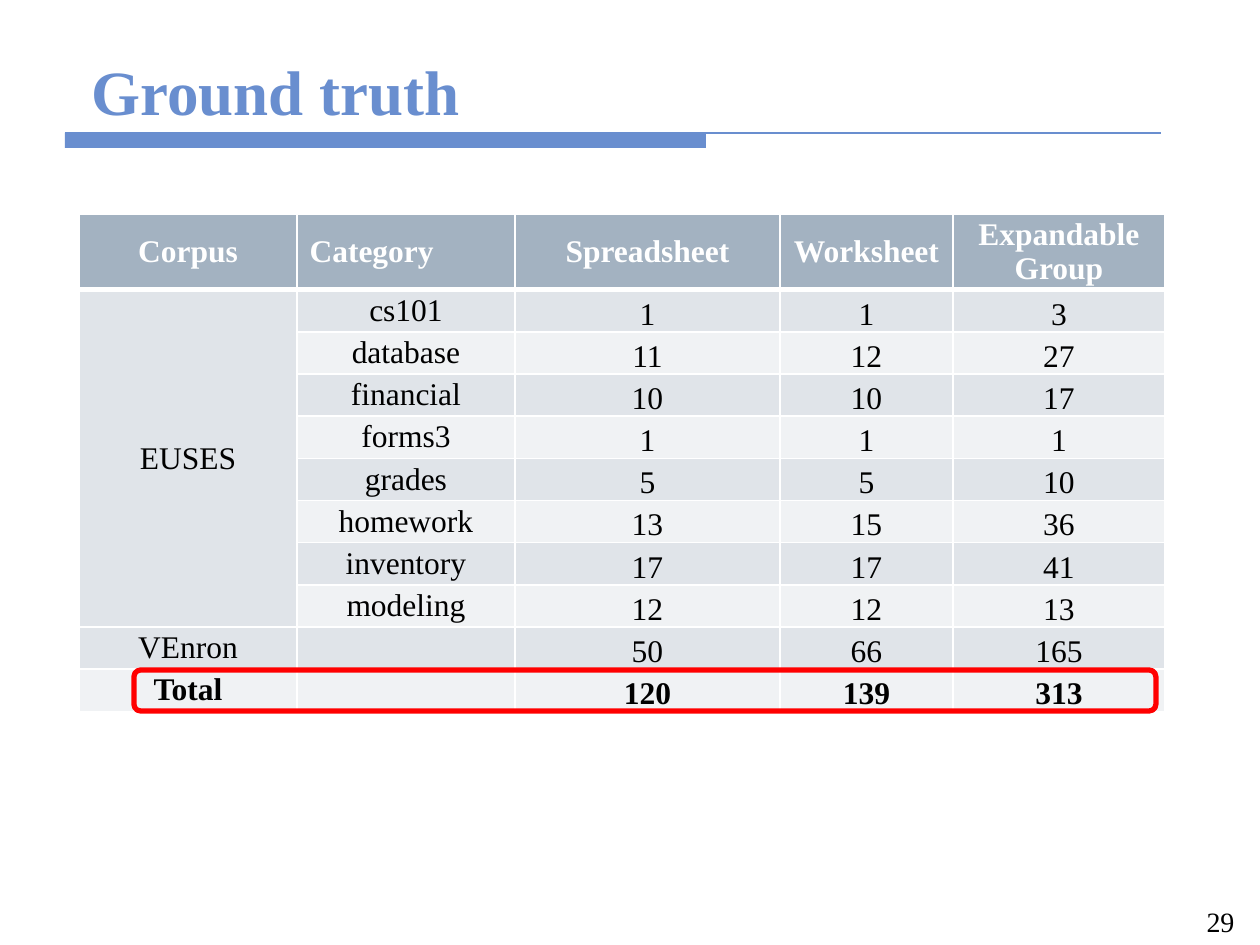
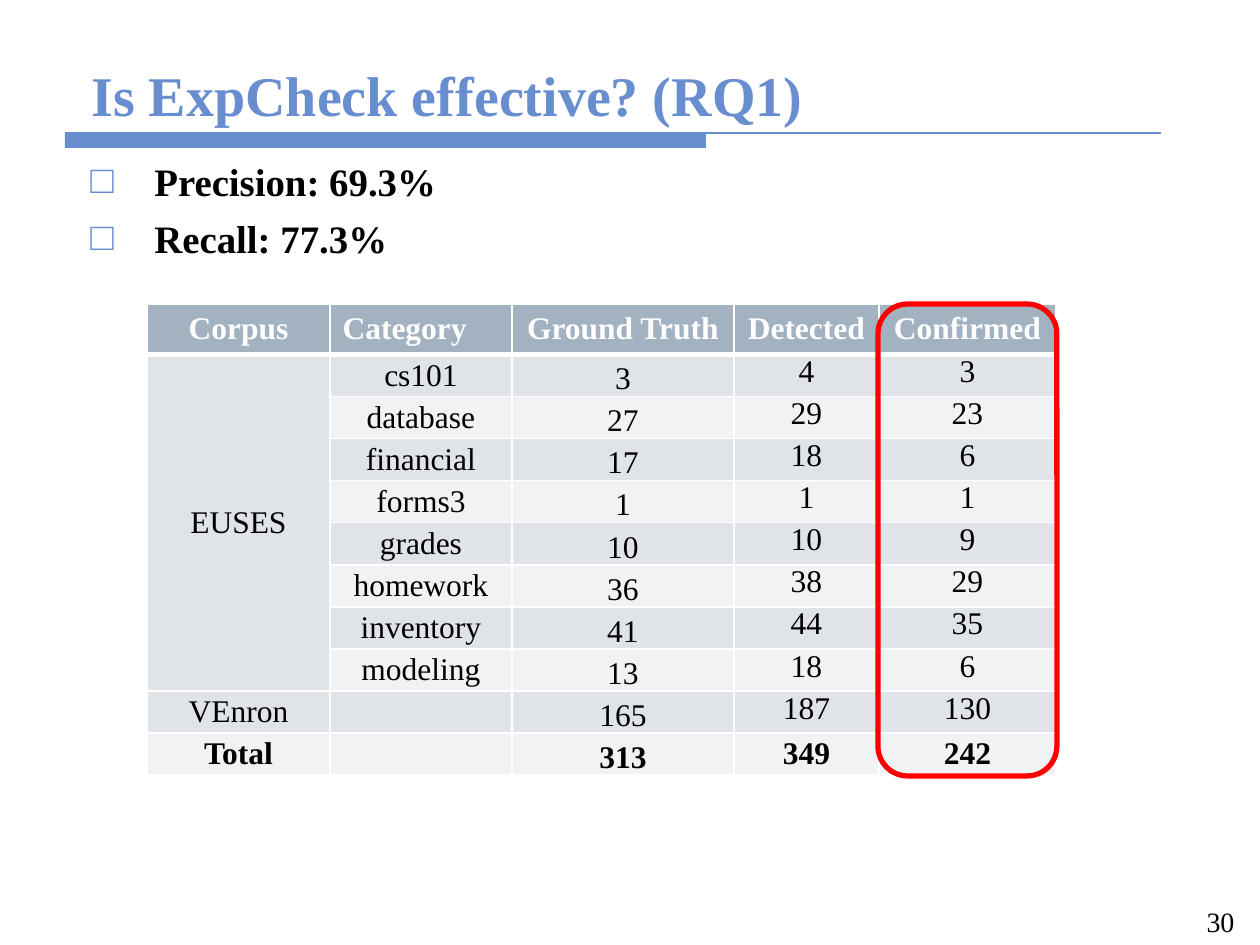
from dataclasses import dataclass

from lxml import etree
from pptx import Presentation
from pptx.dml.color import RGBColor
from pptx.enum.shapes import MSO_CONNECTOR, MSO_SHAPE
from pptx.enum.text import MSO_ANCHOR, PP_ALIGN
from pptx.oxml.ns import qn
from pptx.util import Emu, Pt

LEFT, CENTER = PP_ALIGN.LEFT, PP_ALIGN.CENTER
TOP, MIDDLE, BOTTOM = MSO_ANCHOR.TOP, MSO_ANCHOR.MIDDLE, MSO_ANCHOR.BOTTOM
RECTANGLE, ROUNDED = MSO_SHAPE.RECTANGLE, MSO_SHAPE.ROUNDED_RECTANGLE
STRAIGHT = MSO_CONNECTOR.STRAIGHT

CATEGORIES = ["cs101", "database", "financial", "forms3", "grades",
              "homework", "inventory", "modeling"]

SLIDES = [
    {
        "title": "Ground truth", "title_size": 36, "number": "29", "points": [],
        "origin": (79, 214), "columns": [218, 218, 265, 173, 212],
        "header_height": 70, "body_height": 422,
        "anchors": [BOTTOM, BOTTOM, BOTTOM],
        "total_anchors": [BOTTOM, BOTTOM, BOTTOM],
        "measures": {
            "Spreadsheet": [1, 11, 10, 1, 5, 13, 17, 12, 50, 120],
            "Worksheet": [1, 12, 10, 1, 5, 15, 17, 12, 66, 139],
            "Expandable Group": [3, 27, 17, 1, 10, 36, 41, 13, 165, 313],
        },
        "highlight": (134, 670, 1022, 41),
    },
    {
        "title": "Is ExpCheck effective? (RQ1)", "title_size": 32, "number": "30",
        "points": ["Precision: 69.3%", "Recall: 77.3%"],
        "origin": (147, 304), "columns": [183, 182, 222, 145, 177],
        "header_height": 47, "body_height": 421,
        "anchors": [BOTTOM, TOP, TOP],
        "total_anchors": [BOTTOM, MIDDLE, MIDDLE],
        "measures": {
            "Ground Truth": [3, 27, 17, 1, 10, 36, 41, 13, 165, 313],
            "Detected": [4, 29, 18, 1, 10, 38, 44, 18, 187, 349],
            "Confirmed": [3, 23, 6, 1, 9, 29, 35, 6, 130, 242],
        },
        "highlight": (878, 304, 179, 472),
    },
]


@dataclass(frozen=True)
class Theme:
    font: str = "Times New Roman"
    accent: str = "698ECF"
    header: str = "A3B2C1"
    dark_band: str = "E0E4E9"
    light_band: str = "F0F2F4"
    white: str = "FFFFFF"
    black: str = "000000"
    alert: str = "FF0000"
    table_size: float = 18
    point_size: float = 22.2
    number_size: float = 16


THEME = Theme()
TITLE_BOX = (79, 42, 1103, 92)
POINTS_BOX = (78, 151, 1103, 106)
NUMBER_BOX = (1181, 898, 79, 44)
BAND = (65, 133, 641, 15)
RULE_END = 1161
POINT_INDENT = 64
POINT_GAP = 6
CELL_MARGIN = 3


def px(length):
    return Emu(round(length * 914400 / 126))


def color(value):
    return RGBColor.from_string(value)


def write(frame, lines, size, fill=THEME.black, bold=False, align=LEFT,
          bullet=None, gap=0):
    frame.word_wrap = True
    for index, line in enumerate(lines):
        para = frame.paragraphs[0] if index == 0 else frame.add_paragraph()
        if bullet:
            add_bullet(para, bullet)
        if index:
            para.space_before = Pt(gap)
        para.alignment = align
        para.font.size = Pt(size)
        if line:
            span = para.add_run()
            span.text = line
            span.font.name = THEME.font
            span.font.size = Pt(size)
            span.font.bold = bold
            span.font.color.rgb = color(fill)


def add_bullet(para, symbol):
    properties = para._p.get_or_add_pPr()
    properties.set("marL", str(px(POINT_INDENT)))
    properties.set("indent", str(-px(POINT_INDENT)))
    tint = etree.SubElement(properties, qn("a:buClr"))
    etree.SubElement(tint, qn("a:srgbClr"), val=THEME.accent)
    etree.SubElement(properties, qn("a:buFont"), typeface=THEME.font)
    etree.SubElement(properties, qn("a:buChar"), char=symbol)


def add_text(page, area, lines, size, anchor=TOP, **style):
    box = page.shapes.add_textbox(*map(px, area))
    box.text_frame.vertical_anchor = anchor
    write(box.text_frame, lines, size, **style)


def add_frame(page, data):
    band = page.shapes.add_shape(RECTANGLE, *map(px, BAND))
    band.shadow.inherit = False
    band.fill.solid()
    band.fill.fore_color.rgb = color(THEME.accent)
    band.line.fill.background()
    left, top = BAND[:2]
    rule = page.shapes.add_connector(STRAIGHT, px(left), px(top), px(RULE_END), px(top))
    rule.line.color.rgb = color(THEME.accent)
    rule.line.width = Pt(0.75)
    etree.SubElement(rule._element.spPr, qn("a:effectLst"))
    add_text(page, TITLE_BOX, [data["title"]], data["title_size"], anchor=BOTTOM,
             fill=THEME.accent, bold=True)
    add_text(page, NUMBER_BOX, [data["number"]], THEME.number_size, align=CENTER)


def add_borders(cell, top, bottom):
    properties = cell._tc.get_or_add_tcPr()
    for side, width in (("L", 1), ("R", 1), ("T", top), ("B", bottom)):
        line = etree.SubElement(properties, qn(f"a:ln{side}"), w=str(Pt(width)))
        paint = etree.SubElement(line, qn("a:solidFill"))
        etree.SubElement(paint, qn("a:srgbClr"), val=THEME.white)


def table_rows(measures):
    corpora = ["EUSES"] + [""] * (len(CATEGORIES) - 1) + ["VEnron", "Total"]
    body = zip(corpora, CATEGORIES + ["", ""], *measures.values())
    return [("Corpus", "Category", *measures), *body]


def add_results(page, data):
    rows = table_rows(data["measures"])
    last = len(rows) - 1
    row_height = data["body_height"] / last
    area = (*data["origin"], sum(data["columns"]),
            data["header_height"] + data["body_height"])
    table = page.shapes.add_table(len(rows), len(data["columns"]), *map(px, area)).table
    for column, width in zip(table.columns, data["columns"]):
        column.width = px(width)
    for r, values in enumerate(rows):
        header = r == 0
        table.rows[r].height = px(data["header_height"] if header else row_height)
        number_anchors = data["total_anchors" if r == last else "anchors"]
        anchors = [MIDDLE] * 5 if header else [MIDDLE, MIDDLE, *number_anchors]
        band = THEME.header if header else THEME.dark_band if r % 2 else THEME.light_band
        for c, value in enumerate(values):
            cell = table.cell(r, c)
            add_borders(cell, 3 if r == 1 else 1, 3 if header else 1)
            cell.fill.solid()
            cell.fill.fore_color.rgb = color(band)
            cell.vertical_anchor = anchors[c]
            if not (header and c < 2):
                cell.margin_left = cell.margin_right = px(CELL_MARGIN)
                cell.margin_top = cell.margin_bottom = 0
            write(cell.text_frame, [str(value)], THEME.table_size,
                  fill=THEME.white if header else THEME.black,
                  bold=r in (0, last),
                  align=LEFT if header and c == 1 else CENTER)
    table.cell(1, 0).merge(table.cell(len(CATEGORIES), 0))


def add_highlight(page, area):
    outline = page.shapes.add_shape(ROUNDED, *map(px, area))
    outline.shadow.inherit = False
    outline.fill.background()
    outline.line.color.rgb = color(THEME.alert)
    outline.line.width = Pt(3)


def main():
    deck = Presentation()
    deck.slide_width, deck.slide_height = px(1260), px(945)
    for data in SLIDES:
        page = deck.slides.add_slide(deck.slide_layouts[6])
        add_frame(page, data)
        if data["points"]:
            add_text(page, POINTS_BOX, data["points"], THEME.point_size,
                     bold=True, bullet="□", gap=POINT_GAP)
        add_results(page, data)
        add_highlight(page, data["highlight"])
    deck.save("out.pptx")


if __name__ == "__main__":
    main()
